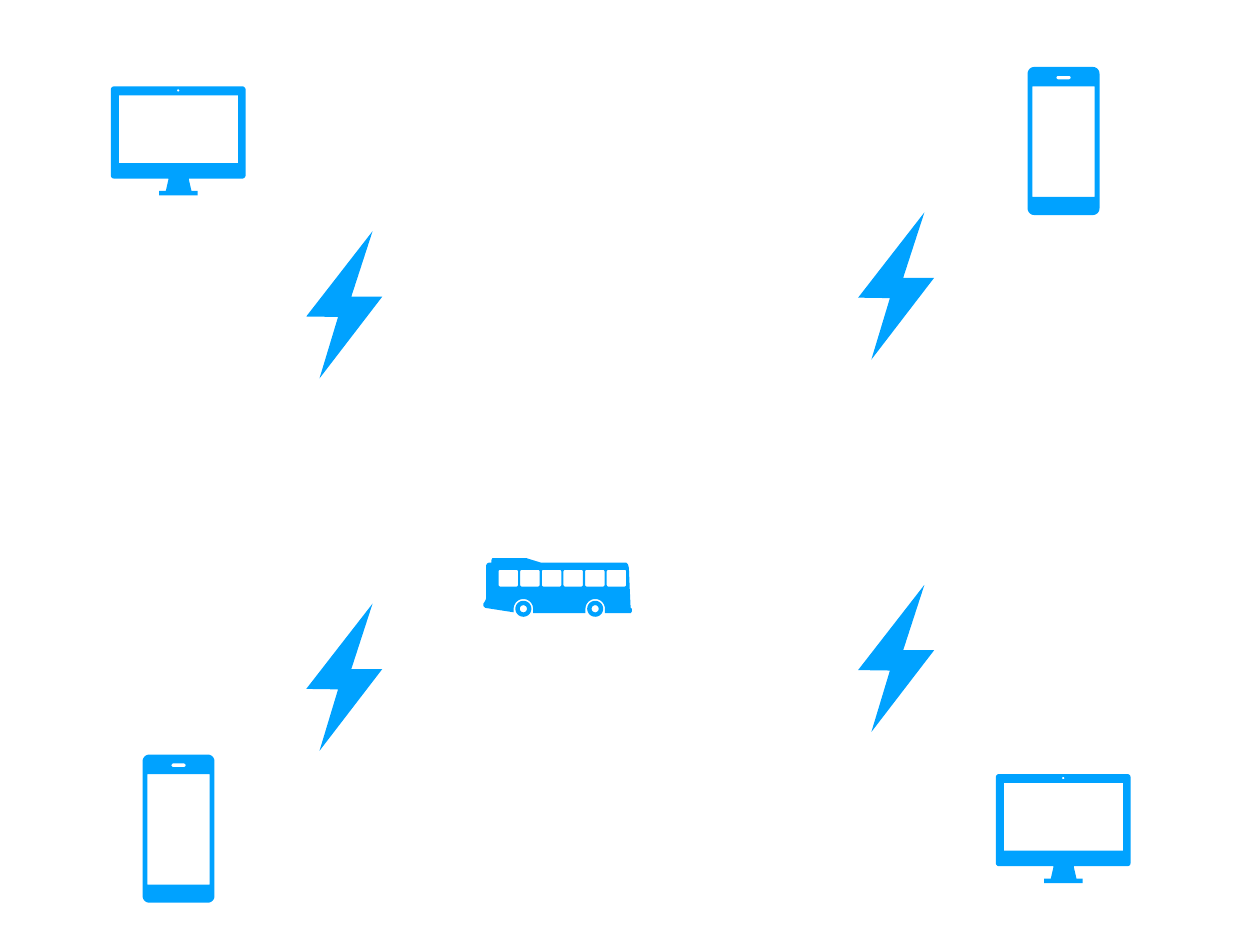
from math import cos, radians, sin

from pptx import Presentation
from pptx.dml.color import RGBColor
from pptx.util import Cm

BLUE = "00A2FF"
PRECISION = 100  # freeform points are whole numbers, so each grid unit is split


def set_fill(shape, color):
    shape.fill.solid()
    shape.fill.fore_color.rgb = RGBColor.from_string(color)
    shape.line.fill.background()
    shape.shadow.inherit = False


def arc(x, y, radius, start, end, steps=8):
    angles = [radians(start + (end - start) * i / steps) for i in range(steps + 1)]
    return [(x + radius * cos(a), y + radius * sin(a)) for a in angles]


def circle(x, y, radius):
    return arc(x, y, radius, 0, 360, 40)


def box(left, top, right, bottom):
    return [(left, top), (right, top), (right, bottom), (left, bottom)]


def rounded_box(left, top, right, bottom, radius, bottom_edge=()):
    """Clockwise outline; bottom_edge adds points between the lower corners."""
    x1, x2 = left + radius, right - radius
    y1, y2 = top + radius, bottom - radius
    return [
        *arc(x1, y1, radius, 180, 270),
        *arc(x2, y1, radius, 270, 360),
        *arc(x2, y2, radius, 0, 90),
        *bottom_edge,
        *arc(x1, y2, radius, 90, 180),
    ]


def draw_icon(slide, left, top, width, grid_width, contours):
    """Draw contours as one shape; inner contours become holes."""
    scaled = [[(x * PRECISION, y * PRECISION) for x, y in c] for c in contours]
    builder = slide.shapes.build_freeform(
        *scaled[0][0], scale=width / grid_width / PRECISION)
    for index, points in enumerate(scaled):
        if index:
            builder.move_to(*points[0])
        builder.add_line_segments(points[1:], close=True)
    set_fill(builder.convert_to_shape(left, top), BLUE)


def add_computer(slide, left, top, width):
    stand = [(88, 104), (88, 105), (91, 118), (98, 118), (98, 123),
             (54.5, 123), (54.5, 118), (62, 118), (65, 105), (65, 104)]
    case = rounded_box(0, 0, 152, 104, 3.5, stand)
    camera = circle(76, 4.5, 1.3)
    screen = box(9, 10, 143.5, 86.5)
    draw_icon(slide, left, top, width, 152, [case, camera, screen])


def add_phone(slide, left, top, width):
    case = rounded_box(0, 0, 81, 167, 7.5)
    speaker = rounded_box(32.5, 10, 48.5, 14, 2)
    screen = box(5.5, 22, 75.5, 146.5)
    draw_icon(slide, left, top, width, 81, [case, speaker, screen])


def add_bolt(slide, left, top, width):
    outline = [(75, 0), (0, 96.5), (36, 97), (15, 166.5), (86, 74), (51, 74)]
    draw_icon(slide, left, top, width, 86, [outline])


def add_bus(slide, left, top, width):
    axle, wheels = 57, (45, 126)
    arches = [arc(x, axle, 11, 180, 360, 16) for x in wheels]
    body = [
        # Roof unit and front
        (49, 0), (10, 0), (9, 2), (9, 5), (6, 5), (4, 6), (3, 8), (3, 45),
        (2, 48), (0, 51), (0, 54), (2, 56), (34, 61),
        # Underside with wheel arches
        *arches[0], (56, 62), (115, 62), *arches[1], (137, 62),
        # Rear and roof
        (166, 62), (167.5, 60), (167.5, 57), (166, 56), (165, 35),
        (164, 11), (163, 7), (161, 5), (65, 5), (52, 1),
    ]
    windows = [rounded_box(x, 13, x + 22, 32, 2)
               for x in (17 + 24.4 * i for i in range(6))]
    rims = [circle(x, axle, radius) for radius in (9, 4) for x in wheels]
    draw_icon(slide, left, top, width, 168, [body, *windows, *rims])


def add_network(slide):
    # Bus in the middle
    add_bus(slide, Cm(13.86), Cm(16.01), Cm(4.27))

    # Devices in the corners
    for left, top in ((4.09, 21.64), (29.46, 1.92)):
        add_phone(slide, Cm(left), Cm(top), Cm(2.06))
    for left, top in ((3.18, 2.48), (28.55, 22.2)):
        add_computer(slide, Cm(left), Cm(top), Cm(3.86))

    # Bolts between the devices and the bus
    for left, first_top in ((8.78, 6.63), (24.6, 6.09)):
        for top in (first_top, first_top + 10.68):
            add_bolt(slide, Cm(left), Cm(top), Cm(2.18))


def main():
    presentation = Presentation()
    presentation.slide_width, presentation.slide_height = Cm(36.12), Cm(27.1)
    slide = presentation.slides.add_slide(presentation.slide_layouts[6])
    add_network(slide)
    presentation.save("out.pptx")


if __name__ == "__main__":
    main()
